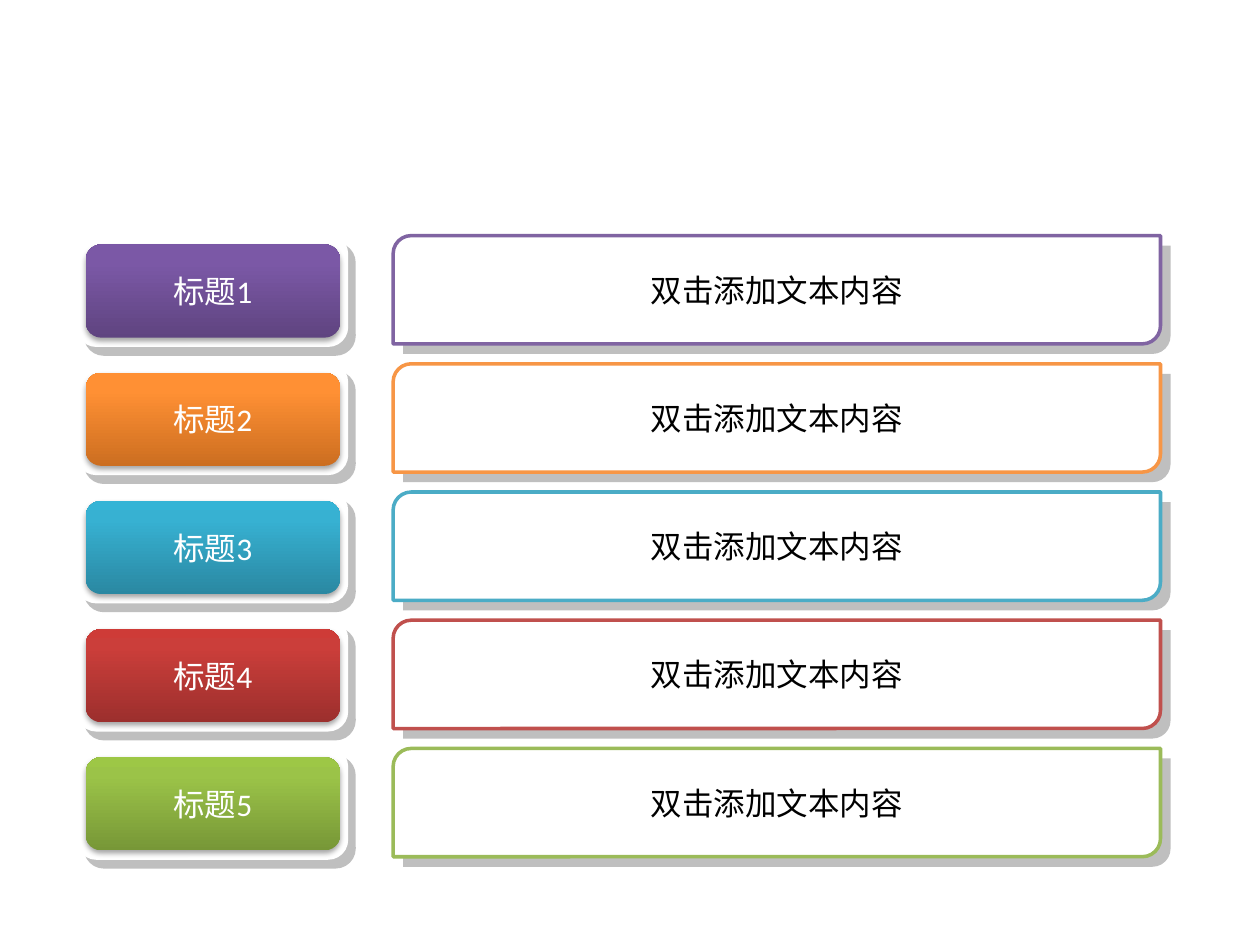
import copy

import pptx
import pptx.dml.color
import pptx.enum.shapes
import pptx.enum.text
import pptx.oxml
import pptx.oxml.ns
import pptx.util
from pptx.util import Inches

ROUNDED = pptx.enum.shapes.MSO_SHAPE.ROUNDED_RECTANGLE
DIAGONAL = pptx.enum.shapes.MSO_SHAPE.ROUND_2_DIAG_RECTANGLE
GREY = "BFBFBF"
WHITE = "FFFFFF"
BLACK = "000000"
FIRST_TOP = 1.87
LAST_TOP = 5.94
BODY = "双击添加文本内容"
ROWS = [
    ("标题1", "8064A2", ("5F4480", "7B58A6", "7C57A8")),
    ("标题2", "F79646", ("CC6E20", "FF9034", "FF9136")),
    ("标题3", "4BACC6", ("2A88A2", "37B1D2", "34B4D6")),
    ("标题4", "C0504D", ("9C2F2D", "CB3E3A", "CE3B37")),
    ("标题5", "9BBB59", ("779737", "9BC348", "9DC746")),
]


def colour(value):
    return pptx.dml.color.RGBColor.from_string(value)


def add_box(page, kind, left, top, width, height, fill=None, line=None):
    box = page.shapes.add_shape(
        kind, Inches(left), Inches(top), Inches(width), Inches(height)
    )
    box.shadow.inherit = False
    if fill:
        box.fill.solid()
        box.fill.fore_color.rgb = colour(fill)
    if line:
        box.line.color.rgb = colour(line)
        box.line.width = pptx.util.Pt(2)
    else:
        box.line.fill.background()
    return box


def write_text(box, text, text_colour):
    box.text_frame.vertical_anchor = pptx.enum.text.MSO_ANCHOR.MIDDLE
    para = box.text_frame.paragraphs[0]
    para.alignment = pptx.enum.text.PP_ALIGN.CENTER
    span = para.add_run()
    span.text = text
    span.font.color.rgb = colour(text_colour)
    for name, value in {"name": "Calibri", "size": pptx.util.Pt(18)}.items():
        setattr(span.font, name, value)


def fill_gradient(box, shades):
    box.fill.gradient()
    box.fill.gradient_angle = 90
    stop_list = box._element.spPr.find(".//" + pptx.oxml.ns.qn("a:gsLst"))
    stop_list.append(copy.deepcopy(stop_list[0]))
    for stop, position, shade in zip(box.fill.gradient_stops, (0, 0.8, 1), shades):
        stop.position = position
        stop.color.rgb = colour(shade)


def add_soft_shadow(box):
    effects = box._element.spPr.find(pptx.oxml.ns.qn("a:effectLst"))
    effects.append(pptx.oxml.parse_xml(
        f'<a:outerShdw {pptx.oxml.ns.nsdecls("a")} blurRad="39370" dist="22860" '
        'dir="5400000" rotWithShape="0"><a:srgbClr val="000000">'
        '<a:alpha val="35000"/></a:srgbClr></a:outerShdw>'
    ))


def add_heading(page, top, text, shades):
    add_box(page, ROUNDED, 0.68, top + 0.07, 2.13, 0.87, GREY, GREY)
    add_box(page, ROUNDED, 0.62, top, 2.13, 0.87, WHITE, WHITE)
    button = add_box(page, ROUNDED, 0.68, top + 0.07, 2.02, 0.74)
    fill_gradient(button, shades)
    add_soft_shadow(button)
    write_text(button, text, WHITE)


def add_content(page, top, text, outline):
    add_box(page, DIAGONAL, 3.2, top + 0.08, 6.09, 0.86, GREY)
    panel = add_box(page, DIAGONAL, 3.12, top, 6.09, 0.86, WHITE, outline)
    write_text(panel, text, BLACK)


def main():
    deck = pptx.Presentation()
    deck.slide_width = Inches(10)
    deck.slide_height = Inches(7.5)
    page = deck.slides.add_slide(deck.slide_layouts[6])
    pitch = (LAST_TOP - FIRST_TOP) / (len(ROWS) - 1)
    for index, (heading, outline, shades) in enumerate(ROWS):
        top = FIRST_TOP + index * pitch
        add_heading(page, top, heading, shades)
        add_content(page, top, BODY, outline)
    deck.save("out.pptx")


if __name__ == "__main__":
    main()
